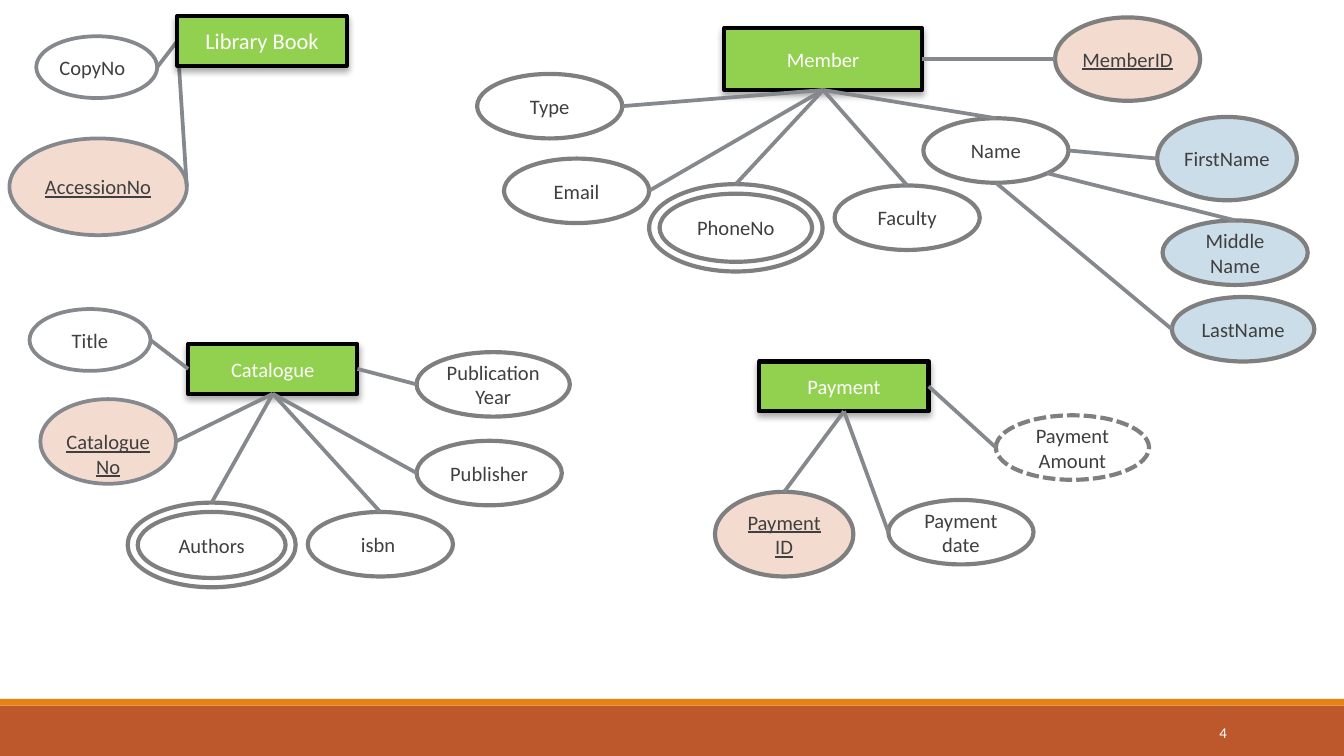
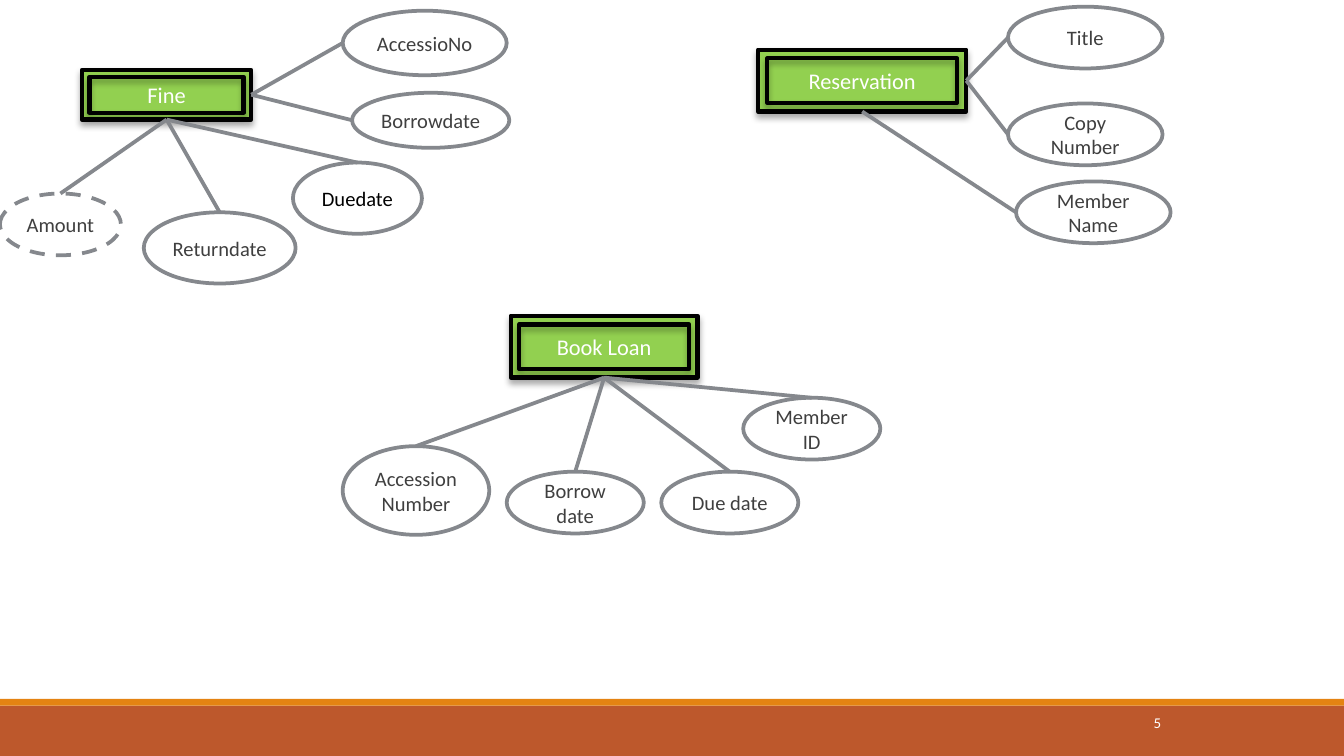
from collections import ChainMap
from lxml.etree import SubElement as Sub
from pptx import Presentation
from pptx.dml.color import RGBColor as Rgb
from pptx.enum.dml import MSO_LINE as Dash
from pptx.enum.shapes import MSO_CONNECTOR as Link, MSO_SHAPE as Shape
from pptx.enum.text import MSO_ANCHOR as Anchor, PP_ALIGN as Align
from pptx.oxml.ns import qn
from pptx.util import Emu, Pt

CELL = 9144
WIDE, HIGH = 1000, 562.5
HUE = {
    "white": "FFFFFF", "black": "000000", "ink": "3F3F3F", "green": "92D050",
    "rose": "F4DBD0", "sky": "CCDDEA", "gray": "85888D", "steel": "7F7F7F",
    "rust": "BD582C", "gold": "E48312",
}
BASE = {
    "shape": Shape.OVAL, "fill": "white", "pen": "gray", "width": 2, "dash": None,
    "color": "ink", "size": 11, "line": False, "align": Align.CENTER,
    "shade": False, "inset": None, "front": False,
}
FORM = {
    "entity": {"shape": Shape.RECTANGLE, "fill": "green", "pen": "black",
               "width": 2.25, "color": "white", "shade": True},
    "big": {"size": 12},
    "weak": {"inset": (0.045, 0.14)},
    "front": {"front": True},
    "soft": {},
    "hard": {"pen": "steel", "width": 2.25},
    "key": {"fill": "rose", "line": True},
    "part": {"fill": "sky"},
    "many": {"inset": (0.06, 0.11)},
    "dots": {"dash": Dash.SQUARE_DOT},
    "dash": {"dash": Dash.DASH},
    "left": {"align": Align.LEFT},
    "dark": {"color": "black"},
}
SIDE = {
    "top": (0.5, 0), "base": (0.5, 1), "left": (0, 0.5), "right": (1, 0.5),
    "low": (0.85, 0.85),
}

BOOK = ("Library Book", (132, 12, 126, 37), "entity big front", "", [
    ("CopyNo", (27, 27, 90, 46), "soft left", "left right", []),
    ("AccessionNo", (7, 103, 132, 72), "soft key", "left right", []),
])
MEMBER = ("Member", (539, 21, 147, 46), "entity", "", [
    ("MemberID", (785, 13, 108, 62), "hard key", "right left", []),
    ("Type", (355, 55, 108, 48), "hard", "base right", []),
    ("Email", (375, 118, 108, 48), "hard", "base right", []),
    ("PhoneNo", (483, 137, 129, 65), "hard many", "base top", []),
    ("Faculty", (621, 138, 108, 48), "hard", "base top", []),
    ("Name", (687, 88, 108, 48), "hard", "base top", [
        ("FirstName", (861, 87, 104, 62), "hard part", "right left", []),
        ("Middle Name", (865, 164, 108, 48), "hard part", "low top", []),
        ("LastName", (872, 221, 106, 48), "hard part", "base left", []),
    ]),
])
CATALOGUE = ("Catalogue", (140, 256, 126, 37), "entity", "", [
    ("Title", (22, 230, 90, 46), "soft", "left right", []),
    (" CatalogueNo", (30, 297, 101, 63), "soft key", "base right", []),
    ("Authors", (95, 374, 125, 63), "hard many", "base top", []),
    ("isbn ", (229, 381, 108, 48), "hard", "base top", []),
    ("Publisher", (310, 328, 108, 48), "hard", "base left", []),
    ("Publication Year", (310, 262, 114, 48), "hard", "right left", []),
])
PAYMENT = ("Payment", (565, 269, 126, 37), "entity", "", [
    ("Payment ID", (532, 366, 103, 63), "hard key", "base top", []),
    ("Payment date", (661, 372, 108, 48), "hard", "base left", []),
    ("Payment Amount", (741, 309, 114, 48), "hard dots", "right left", []),
])
FINE = ("Fine", (61, 52, 126, 37), "entity big weak", "", [
    ("AccessioNo", (255, 8, 122, 48), "soft", "right left", []),
    ("Borrowdate", (262, 69, 117, 41), "soft", "right left", []),
    ("Duedate", (218, 121, 96, 53), "soft dark", "base top", []),
    ("Returndate", (107, 158, 113, 53), "soft", "base top", []),
    ("Amount", (0, 144, 90, 46), "soft dash", "base top", []),
])
RESERVE = ("Reservation", (564, 37, 155, 46), "entity big weak", "", [
    ("Title", (750, 5, 115, 46), "soft", "right left", []),
    ("Copy Number", (750, 77, 115, 46), "soft", "right left", []),
    ("Member Name", (756, 135, 115, 46), "soft", "base left", []),
])
LOAN = ("Book Loan", (380, 235, 139, 46), "entity big weak", "", [
    ("Accession Number", (255, 332, 109, 66), "soft", "base top", []),
    ("Borrow date", (377, 351, 102, 46), "soft", "base top", []),
    ("Due date", (492, 351, 102, 46), "soft", "base top", []),
    ("Member ID", (553, 296, 102, 46), "soft", "base top", []),
])
PAGES = [
    ("4", (812, 530, 108, 30), [BOOK, MEMBER, CATALOGUE, PAYMENT]),
    ("5", (763, 523, 108, 30), [FINE, RESERVE, LOAN]),
]
BANDS = [("rust", (0, 525, WIDE, 37.5)), ("gold", (0, 520, WIDE, 5))]


def hue(name):
    return Rgb.from_string(HUE[name])


def grid(*cells):
    return [Emu(round(c * CELL)) for c in cells]


def apply(obj, **vals):
    for key, val in vals.items():
        setattr(obj, key, val)


def write(shape, text, form, pad):
    frame = shape.text_frame
    side, edge = grid(*pad)
    apply(frame, word_wrap=True, vertical_anchor=Anchor.MIDDLE, margin_left=side,
          margin_right=side, margin_top=edge, margin_bottom=edge)
    para = frame.paragraphs[0]
    para.alignment = form["align"]
    run = para.add_run()
    run.text = text
    apply(run.font, name="Calibri", size=Pt(form["size"]), underline=form["line"])
    run.font.color.rgb = hue(form["color"])


def shade(shape):
    fx = shape._element.spPr.find(qn("a:effectLst"))
    drop = Sub(fx, qn("a:outerShdw"), blurRad=str(Pt(3.5)), dist=str(Pt(2.2)),
               dir="5400000", algn="t", rotWithShape="0")
    tint = Sub(drop, qn("a:srgbClr"), val=HUE["black"])
    Sub(tint, qn("a:alpha"), val="32000")


def block(slide, box, form, fill):
    shape = slide.shapes.add_shape(form["shape"], *grid(*box))
    shape.shadow.inherit = False
    if fill:
        shape.fill.solid()
        shape.fill.fore_color.rgb = hue(fill)
    else:
        shape.fill.background()
    if form["pen"]:
        shape.line.color.rgb = hue(form["pen"])
        apply(shape.line, width=Pt(form["width"]), dash_style=form["dash"])
    else:
        shape.line.fill.background()
    if form["shade"]:
        shade(shape)
    return shape


def inner(box, inset):
    x, y, w, h = box
    dx, dy = w * inset[0], h * inset[1]
    return x + dx, y + dy, w - 2 * dx, h - 2 * dy


def node(slide, text, box, form):
    core, ring = box, None
    if form["inset"]:
        small = inner(box, form["inset"])
        core, ring = (box, small) if form["shade"] else (small, box)
    write(block(slide, core, form, form["fill"]), text, form, (4, 4))
    if ring:
        block(slide, ring, form, None)


def spot(box, side):
    x, y, w, h = box
    across, down = SIDE[side]
    return grid(x + w * across, y + h * down)


def join(slide, start, end, sides):
    near, far = sides.split()
    line = slide.shapes.add_connector(Link.STRAIGHT, *spot(start, near), *spot(end, far))
    line.line.color.rgb = hue("gray")
    line.line.width = Pt(2)
    Sub(line._element.spPr, qn("a:effectLst"))


def grow(slide, tree):
    text, box, kind, _, kids = tree
    form = ChainMap(*(FORM[word] for word in kind.split()), BASE)
    if not form["front"]:
        node(slide, text, box, form)
    for kid in kids:
        grow(slide, kid)
        join(slide, box, kid[1], kid[3])
    if form["front"]:
        node(slide, text, box, form)


def main():
    deck = Presentation()
    deck.slide_width, deck.slide_height = grid(WIDE, HIGH)
    blank = deck.slide_layouts[6]
    slides = [deck.slides.add_slide(blank) for _ in PAGES]
    flat = ChainMap({"shape": Shape.RECTANGLE, "pen": None}, BASE)
    for fill, box in BANDS:
        band = block(slides[0], box, flat, fill)
        blank.shapes._spTree.append(band._element)
    mark = ChainMap({"size": 8, "color": "white", "align": Align.RIGHT}, BASE)
    for slide, (num, box, trees) in zip(slides, PAGES):
        for tree in trees:
            grow(slide, tree)
        write(slide.shapes.add_textbox(*grid(*box)), num, mark, (7, 4))
    deck.save("out.pptx")


if __name__ == "__main__":
    main()
